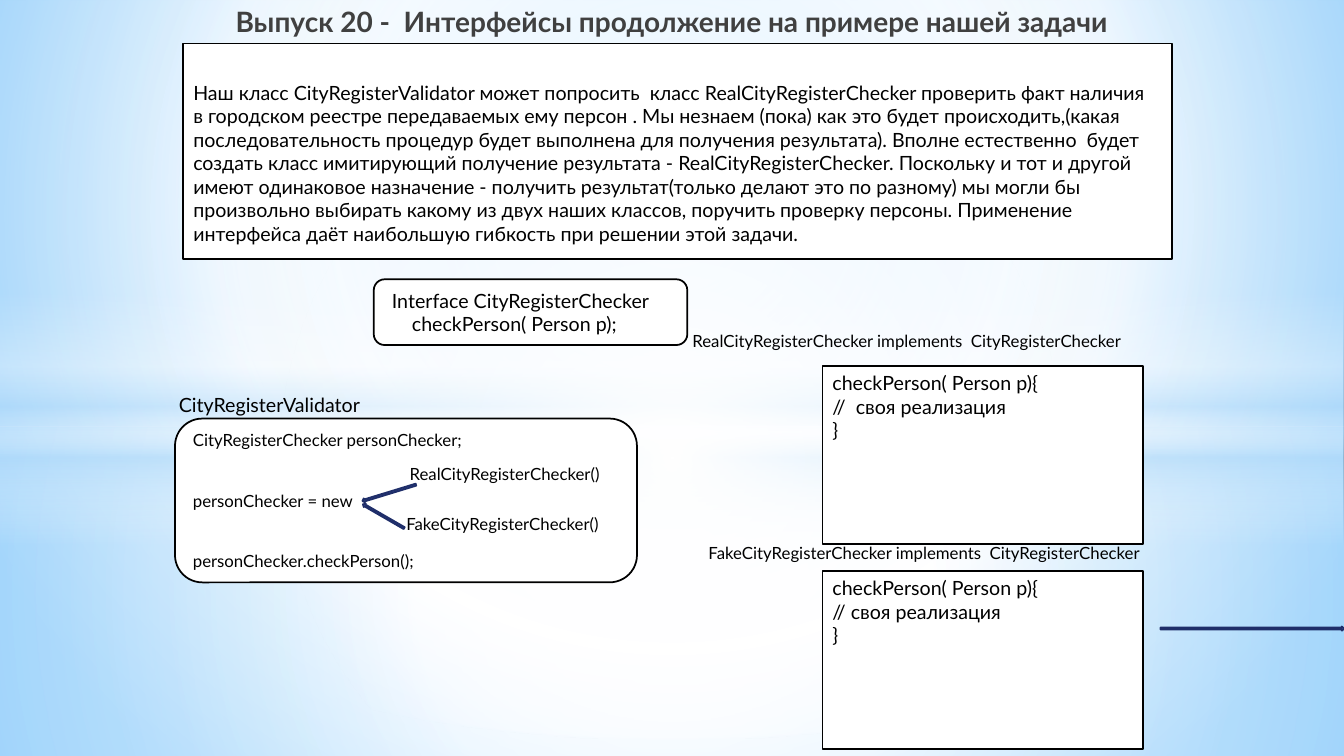
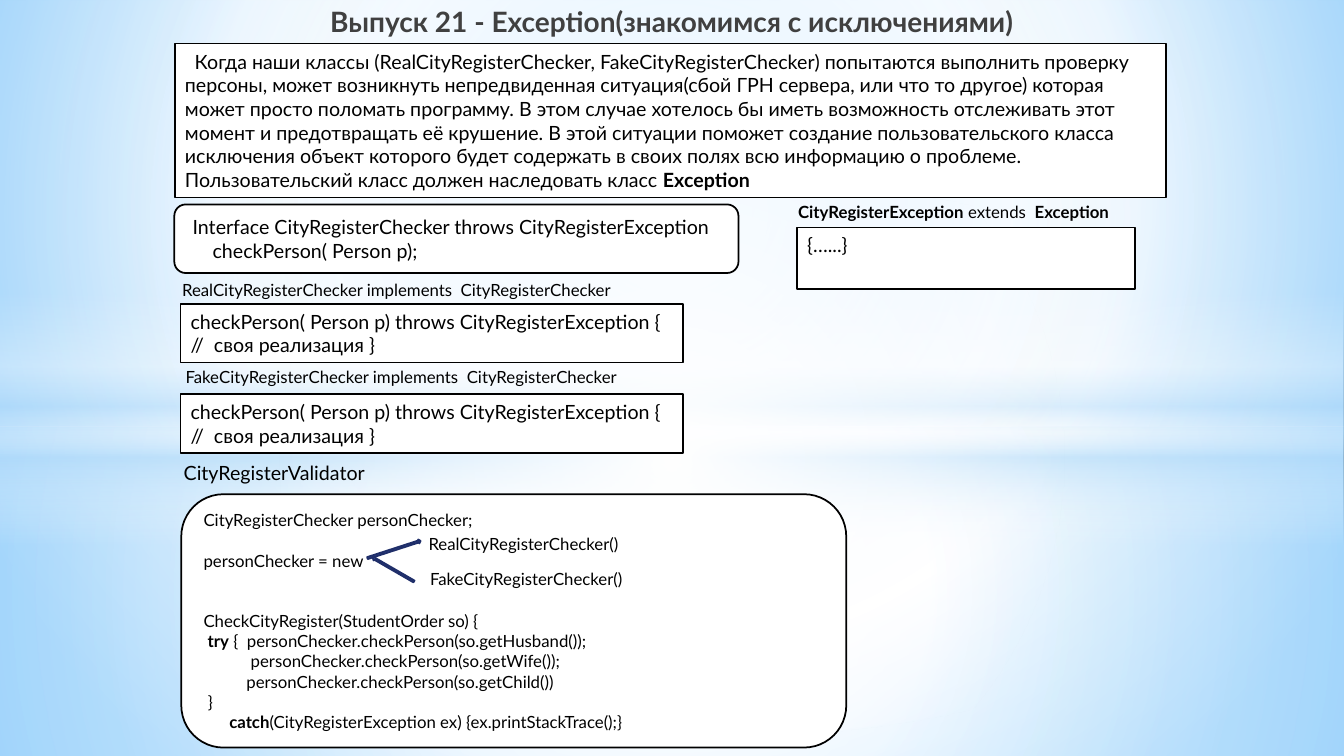
from pptx import Presentation
from pptx.dml.color import RGBColor
from pptx.enum import shapes, text
from pptx.oxml import parse_xml
from pptx.oxml.ns import nsdecls, qn
from pptx.util import Pt

# Shared style
FONT = "Lato"
BLACK = RGBColor(0x00, 0x00, 0x00)
WHITE = RGBColor(0xFF, 0xFF, 0xFF)
TITLE_GREY = RGBColor(0x40, 0x40, 0x40)
ARROW_BLUE = RGBColor(0x4E, 0x67, 0xC8)
ARROW_NAVY = RGBColor(0x1F, 0x2E, 0x69)
SKY = RGBColor(0x9E, 0xD5, 0xFF)
DEEP_SKY = RGBColor(0x5B, 0xB9, 0xFF)
PALE_SKY = RGBColor(0xB4, 0xDC, 0xFA)

WIDTH, HEIGHT = 960, 540
LINE = 1.25
BODY, SMALL = 14, 12
SMALL_LINE = 14.4
CENTER = (50, 50, 50, 50)

SHAPE = shapes.MSO_SHAPE
RECT, ROUND = SHAPE.FLOWCHART_PROCESS, SHAPE.ROUNDED_RECTANGLE
TOP, MIDDLE = text.MSO_ANCHOR.TOP, text.MSO_ANCHOR.MIDDLE

# Backdrop: preset, frame, gradient stops (position, colour, opacity), focus
BACKGROUND = ((0, SKY, 100), (60, WHITE, 100), (100, DEEP_SKY, 100))
BANDS = (
    (SHAPE.RECTANGLE, (0, 304.5, WIDTH, 235.5),
     ((0, WHITE, 91), (37, WHITE, 76), (100, PALE_SKY, 79)), CENTER),
    (SHAPE.RECTANGLE, (0, 0, WIDTH, 304.5),
     ((0, WHITE, 89), (48, WHITE, 62), (100, PALE_SKY, 79)), CENTER),
    (SHAPE.RECTANGLE, (0, 209, WIDTH, 180),
     ((0, WHITE, 0), (29, WHITE, 30), (45, PALE_SKY, 40),
      (55, WHITE, 26), (65, PALE_SKY, 60), (100, WHITE, 0)), None),
    (SHAPE.OVAL, (0, 126, WIDTH, 402),
     ((0, WHITE, 100), (54, WHITE, 0)), CENTER),
)


def set_gradient(fill, holder, stops, focus):
    """Fill with a circular gradient, or a vertical one if there is no focus."""
    fill.background()
    marks = "".join(
        f'<a:gs pos="{position * 1000}"><a:srgbClr val="{color}">'
        f'<a:alpha val="{opacity * 1000}"/></a:srgbClr></a:gs>'
        for position, color, opacity in stops)
    if focus:
        sides = " ".join(f'{side}="{share * 1000}"' for side, share in zip("ltrb", focus))
        course = f'<a:path path="circle"><a:fillToRect {sides}/></a:path>'
    else:
        course = '<a:lin ang="5400000" scaled="0"/>'
    gradient = parse_xml(f'<a:gradFill {nsdecls("a")} rotWithShape="1">'
                         f'<a:gsLst>{marks}</a:gsLst>{course}</a:gradFill>')
    holder.replace(holder.find(qn("a:noFill")), gradient)


class Deck:
    def __init__(self):
        self.deck = Presentation()
        self.deck.slide_width, self.deck.slide_height = Pt(WIDTH), Pt(HEIGHT)
        master = self.deck.slide_master
        fill = master.background.fill
        holder = master.element.find(".//" + qn("p:bgPr"))
        set_gradient(fill, holder, BACKGROUND, (20, 10, 20, 60))
        self.page = None

    def add_page(self, title):
        self.page = self.deck.slides.add_slide(self.deck.slide_layouts[6])
        for preset, frame, stops, focus in BANDS:
            band = self.add_preset(preset, frame)
            band.line.fill.background()
            set_gradient(band.fill, band.element.spPr, stops, focus)
        heading = self.label((122.4, 0, 700.5, 42), f"*{title}*", size=20,
                             color=TITLE_GREY, centered=True)
        heading.text_frame.margin_left = Pt(21.6)

    def add_preset(self, preset, frame):
        shape = self.page.shapes.add_shape(preset, *map(Pt, frame))
        shape.shadow.inherit = False
        return shape

    def add_lines(self, box, lines, size, color=BLACK, centered=False, gaps=None, anchor=TOP):
        """Set one paragraph a line; asterisks enclose bold words."""
        frame = box.text_frame
        frame.word_wrap = True
        frame.vertical_anchor = anchor
        for index, line in enumerate(lines):
            para = frame.paragraphs[0] if index == 0 else frame.add_paragraph()
            para.alignment = text.PP_ALIGN.CENTER if centered else text.PP_ALIGN.LEFT
            if gaps and index in gaps:
                para.space_before = Pt(gaps[index])
            for order, words in enumerate(line.split("*")):
                if words:
                    span = para.add_run()
                    span.text = words
                    span.font.name = FONT
                    span.font.size = Pt(size)
                    span.font.bold = order % 2 == 1
                    span.font.color.rgb = color

    def label(self, frame, words, size=SMALL, color=BLACK, centered=False):
        box = self.page.shapes.add_textbox(*map(Pt, frame))
        self.add_lines(box, [words], size, color, centered)
        return box

    def panel(self, preset, frame, lines, size=BODY, gaps=None, anchor=MIDDLE):
        box = self.add_preset(preset, frame)
        box.fill.solid()
        box.fill.fore_color.rgb = WHITE
        box.line.color.rgb = BLACK
        box.line.width = Pt(LINE)
        self.add_lines(box, lines, size, gaps=gaps, anchor=anchor)
        return box

    def arrow(self, center_x, center_y, length, angle=0):
        thickness = 3
        frame = (center_x - length / 2, center_y - thickness / 2, length, thickness)
        arrow = self.add_preset(SHAPE.RIGHT_ARROW, frame)
        arrow.rotation = angle
        arrow.fill.solid()
        arrow.fill.fore_color.rgb = ARROW_BLUE
        arrow.line.color.rgb = ARROW_NAVY
        arrow.line.width = Pt(LINE)

    def checker_label(self, left, top, kind):
        self.label((left, top, 340, 22),
                   f"{kind}CityRegisterChecker implements  CityRegisterChecker")

    def validator(self, frame, lines, gaps, label_at, options):
        """The validator class with its two possible checkers."""
        self.panel(ROUND, frame, lines, SMALL, gaps)
        self.label((*label_at, 169, 24), "CityRegisterValidator", BODY, centered=True)
        for kind, place in options.items():
            self.label((*place, 169, 22), f"{kind}CityRegisterChecker()", centered=True)


def build_interfaces(deck):
    deck.add_page("Выпуск 20 -  Интерфейсы продолжение на примере нашей задачи")

    # Explanation
    body = deck.panel(RECT, (131, 31, 706, 154), [
        "Наш класс CityRegisterValidator может попросить  класс RealCityRegisterChecker "
        "проверить факт наличия",
        "в городском реестре передаваемых ему персон . Мы незнаем (пока) как это будет "
        "происходить,(какая последовательность процедур будет выполнена для получения "
        "результата). Вполне естественно  будет создать класс имитирующий получение "
        "результата - RealCityRegisterChecker. Поскольку и тот и другой",
        "имеют одинаковое назначение - получить результат(только делают это по разному) "
        "мы могли бы произвольно выбирать какому из двух наших классов, поручить проверку "
        "персоны. Применение интерфейса даёт наибольшую гибкость при решении этой задачи.",
    ])
    body.text_frame.margin_top = Pt(20.4)

    # Interface and validator
    deck.panel(ROUND, (267, 199.5, 224, 47),
               [" Interface CityRegisterChecker", "     checkPerson( Person p);"])
    deck.validator((125, 299, 330, 117),
                   ["CityRegisterChecker personChecker;", "personChecker = new ",
                    "personChecker.checkPerson();"],
                   {1: 2 * SMALL_LINE, 2: 2 * SMALL_LINE}, (108, 277),
                   {"Real": (276, 327.5), "Fake": (274.5, 363.5)})
    deck.arrow(278, 352, 40, 163)
    deck.arrow(274, 368.7, 34, 210)

    # Implementations
    for kind, left, label_top, top, comment in (
            ("Real", 487.5, 232.5, 261.5, "//  своя реализация"),
            ("Fake", 499, 384.5, 408, "// своя реализация")):
        deck.panel(RECT, (587.5, top, 229, 127),
                   ["checkPerson( Person p){", comment, "}"], anchor=TOP)
        deck.checker_label(left, label_top, kind)
    deck.arrow(894.5, 449, 131)


def build_exceptions(deck):
    deck.add_page("Выпуск 21 - Exception(знакомимся с исключениями)")

    # Explanation
    body = deck.panel(RECT, (125, 31, 708, 110), [
        "Когда наши классы (RealCityRegisterChecker, FakeCityRegisterChecker) попытаются "
        "выполнить проверку персоны, может возникнуть непредвиденная ситуация(сбой ГРН "
        "сервера, или что то другое) которая может просто поломать программу. В этом случае "
        "хотелось бы иметь возможность отслеживать этот момент и предотвращать её крушение. "
        "В этой ситуации поможет создание пользовательского класса исключения объект "
        "которого будет содержать в своих полях всю информацию о проблеме. "
        "Пользовательский класс должен наследовать класс *Exception*",
    ])
    first = body.text_frame.paragraphs[0]
    first._p.get_or_add_pPr().set("indent", str(Pt(7)))

    # Interface and its implementations
    deck.panel(ROUND, (124.5, 146, 403, 49),
               [" Interface CityRegisterChecker throws CityRegisterException",
                "     checkPerson( Person p);"])
    for kind, left, label_top, top in (("Real", 123, 196, 217), ("Fake", 125.5, 258.5, 281.5)):
        deck.panel(RECT, (129, top, 359, 42),
                   ["checkPerson( Person p) throws CityRegisterException {",
                    "//  своя реализация }"])
        deck.checker_label(left, label_top, kind)

    # Exception class
    deck.panel(RECT, (569.5, 162.5, 241, 44), ["{…...}"], anchor=TOP)
    deck.label((563, 140.5, 253, 22), "*CityRegisterException* extends  *Exception*")

    # Validator
    deck.validator((129.5, 353, 475, 181), [
        "CityRegisterChecker personChecker;",
        "personChecker = new ",
        "CheckCityRegister(StudentOrder so) {",
        "* try* {  personChecker.checkPerson(so.getHusband());",
        "           personChecker.checkPerson(so.getWife());",
        "          personChecker.checkPerson(so.getChild())",
        " }",
        "      *catch*(CityRegisterException ex) {ex.printStackTrace();}",
    ], {1: SMALL_LINE, 2: 2 * SMALL_LINE}, (111.5, 326),
        {"Real": (289.5, 377.5), "Fake": (291.5, 403)})
    deck.arrow(281.5, 392.5, 40, 342)
    deck.arrow(281, 406.8, 34, 210)


def main():
    deck = Deck()
    build_interfaces(deck)
    build_exceptions(deck)
    deck.deck.save("out.pptx")


if __name__ == "__main__":
    main()
